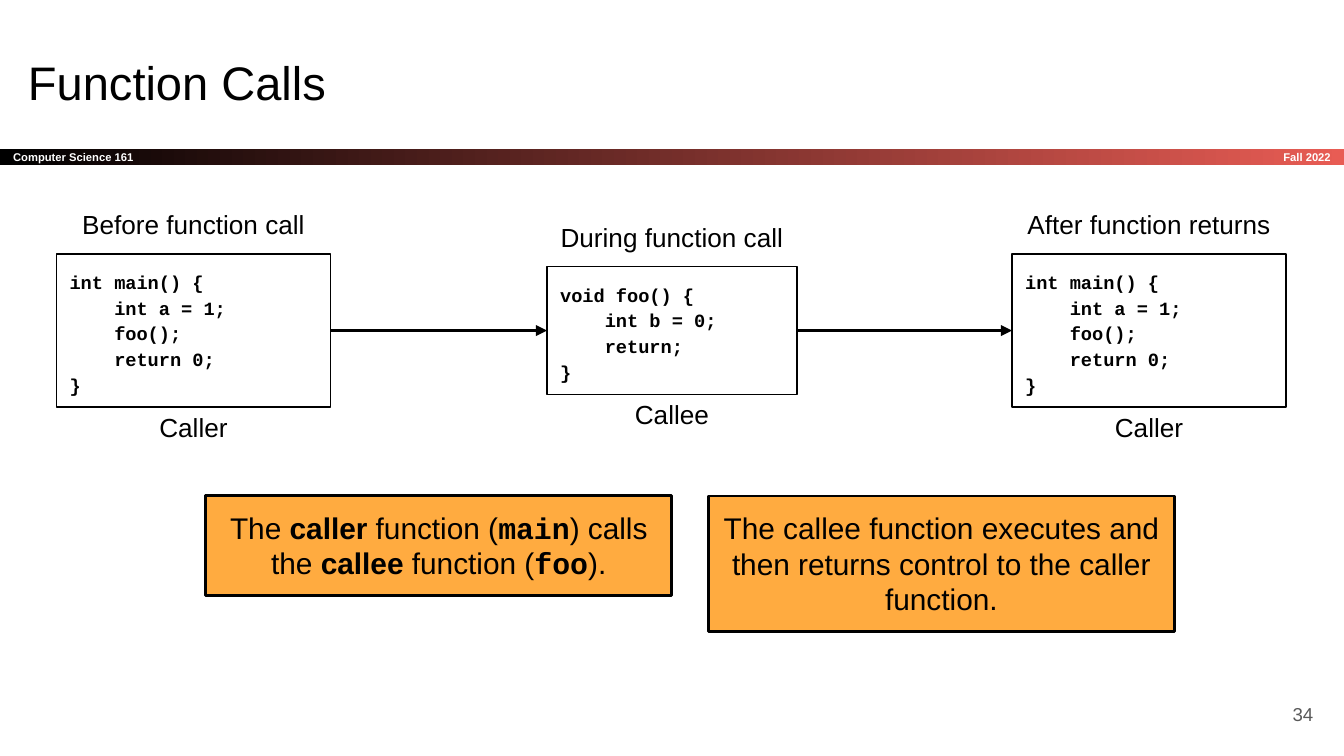
from lxml import etree
from pptx import Presentation
from pptx.dml.color import RGBColor
from pptx.enum.shapes import MSO_CONNECTOR, MSO_SHAPE
from pptx.enum.text import MSO_ANCHOR, MSO_AUTO_SIZE, PP_ALIGN
from pptx.oxml.ns import qn
from pptx.util import Inches, Pt

RECTANGLE, STRAIGHT = MSO_SHAPE.RECTANGLE, MSO_CONNECTOR.STRAIGHT
LEFT, CENTER, RIGHT = PP_ALIGN.LEFT, PP_ALIGN.CENTER, PP_ALIGN.RIGHT
TOP, MIDDLE = MSO_ANCHOR.TOP, MSO_ANCHOR.MIDDLE
GROW, FIXED = MSO_AUTO_SIZE.SHAPE_TO_FIT_TEXT, MSO_AUTO_SIZE.NONE

WIDTH = 10
HEIGHT = WIDTH * 9 / 16
BLACK, WHITE, GREY, RED, ORANGE = "000000", "FFFFFF", "595959", "E85C54", "FFAB40"
SANS, MONO = "Arial", "Courier New"

MAIN = "int main() {\n    int a = 1;\n    foo();\n    return 0;\n}"
FOO = "void foo() {\n    int b = 0;\n    return;\n}"

# heading, code, role, left, width, height, fill
STAGES = [
    ("Before function call", MAIN, "Caller", 0.42, 2.04, 1.14, None),
    ("During function call", FOO, "Callee", 4.07, 1.86, 0.95, WHITE),
    ("After function returns", MAIN, "Caller", 7.53, 2.04, 1.14, None),
]
STAGE_MIDDLE, LABEL_HEIGHT, ROLE_OVERLAP = 2.46, 0.44, 0.07

BOLD, CODE = {"bold": True}, {"bold": True, "font": MONO}
# spans of text with their own format, box height
NOTES = [
    ([("The ", {}), ("caller", BOLD), (" function (", {}), ("main", CODE),
      (") calls the ", {}), ("callee", BOLD), (" function (", {}),
      ("foo", CODE), (").", {})], 0.74),
    ([("The callee function executes and then returns control to the "
       "caller function.", {})], 1.01),
]
NOTE_LEFT, NOTE_TOP, NOTE_WIDTH, NOTE_STEP = 1.53, 3.69, 3.47, 3.74


def color(value):
    return RGBColor.from_string(value)


def add_span(para, text, size, ink, font=SANS, bold=False):
    """Add text to a paragraph, with a line break at each newline."""
    for number, line in enumerate(text.split("\n")):
        if number:
            para.add_line_break()
        span = para.add_run()
        span.text = line
        span.font.size, span.font.name, span.font.bold = Pt(size), font, bold
        span.font.color.rgb = color(ink)


def write(shape, content, size=14, ink=BLACK, align=LEFT, anchor=TOP,
          fit=FIXED, spacing=None, after=None, **style):
    """Put a string, or a list of (text, style) spans, into a shape."""
    frame = shape.text_frame
    frame.word_wrap, frame.auto_size, frame.vertical_anchor = True, fit, anchor
    frame.margin_left = frame.margin_right = Inches(0.1)
    frame.margin_top = frame.margin_bottom = Inches(0.1)
    para = frame.paragraphs[0]
    para.alignment, para.line_spacing = align, spacing
    if after is not None:
        para.space_after = Pt(after)
    spans = [(content, style)] if isinstance(content, str) else content
    for text, span_style in spans:
        add_span(para, text, size, ink, **span_style)


def add_text(page, content, left, top, width, height, **style):
    box = page.shapes.add_textbox(*map(Inches, (left, top, width, height)))
    write(box, content, **style)


def add_box(page, left, top, width, height, fill=None, line=None):
    box = page.shapes.add_shape(
        RECTANGLE, *map(Inches, (left, top, width, height)))
    box.shadow.inherit = False
    if fill:
        box.fill.solid()
        box.fill.fore_color.rgb = color(fill)
    else:
        box.fill.background()
    if line:
        box.line.color.rgb = color(BLACK)
        box.line.width = Pt(line)
    else:
        box.line.fill.background()
    return box


def add_arrow(page, start, end):
    """Join the right side of one box to the left side of the next."""
    arrow = page.shapes.add_connector(STRAIGHT, 0, 0, 0, 0)
    arrow.begin_connect(start, 3)
    arrow.end_connect(end, 1)
    arrow.line.color.rgb = color(BLACK)
    arrow.line.width = Pt(1.5)
    etree.SubElement(arrow.line._get_or_add_ln(), qn("a:tailEnd"), type="triangle")
    etree.SubElement(arrow._element.spPr, qn("a:effectLst"))


def add_frame(page):
    """Add the title, the course bar and the page number."""
    bar = add_box(page, 0, 1.11, WIDTH, 0.12)
    bar.fill.gradient()
    bar.fill.gradient_angle = 0
    for stop, position, value in zip(bar.fill.gradient_stops, (0, 1), (BLACK, RED)):
        stop.position = position
        stop.color.rgb = color(value)
    label = {"size": 6, "ink": WHITE, "bold": True, "anchor": MIDDLE}
    write(bar, "Computer Science 161", **label)
    add_text(page, "Fall 2022", 8.34, 1.11, 1.66, 0.12, align=RIGHT, **label)
    add_text(page, "Function Calls", 0.11, 0.3, 9.32, 0.63, size=25.2)
    add_text(page, "34", 9.27, 5.1, 0.6, 0.43, size=10, ink=GREY,
             align=RIGHT, anchor=MIDDLE)


def add_stages(page):
    boxes = []
    for heading, code, role, left, width, height, fill in STAGES:
        top = STAGE_MIDDLE - height / 2
        box = add_box(page, left, top, width, height, fill=fill, line=0.75)
        write(box, code, size=10, fit=GROW, spacing=1.15, after=12, **CODE)
        boxes.append(box)
        role_top = top + height - ROLE_OVERLAP
        for text, label_top in ((heading, top - LABEL_HEIGHT), (role, role_top)):
            add_text(page, text, left, label_top, width, LABEL_HEIGHT,
                     align=CENTER, fit=GROW)
    for start, end in zip(boxes, boxes[1:]):
        add_arrow(page, start, end)


def add_notes(page):
    for column, (spans, height) in enumerate(NOTES):
        box = add_box(page, NOTE_LEFT + column * NOTE_STEP, NOTE_TOP,
                      NOTE_WIDTH, height, fill=ORANGE, line=1.5)
        write(box, spans, size=16, align=CENTER, fit=GROW)


def main():
    deck = Presentation()
    deck.slide_width, deck.slide_height = Inches(WIDTH), Inches(HEIGHT)
    page = deck.slides.add_slide(deck.slide_layouts[6])
    add_frame(page)
    add_stages(page)
    add_notes(page)
    deck.save("out.pptx")


if __name__ == "__main__":
    main()
